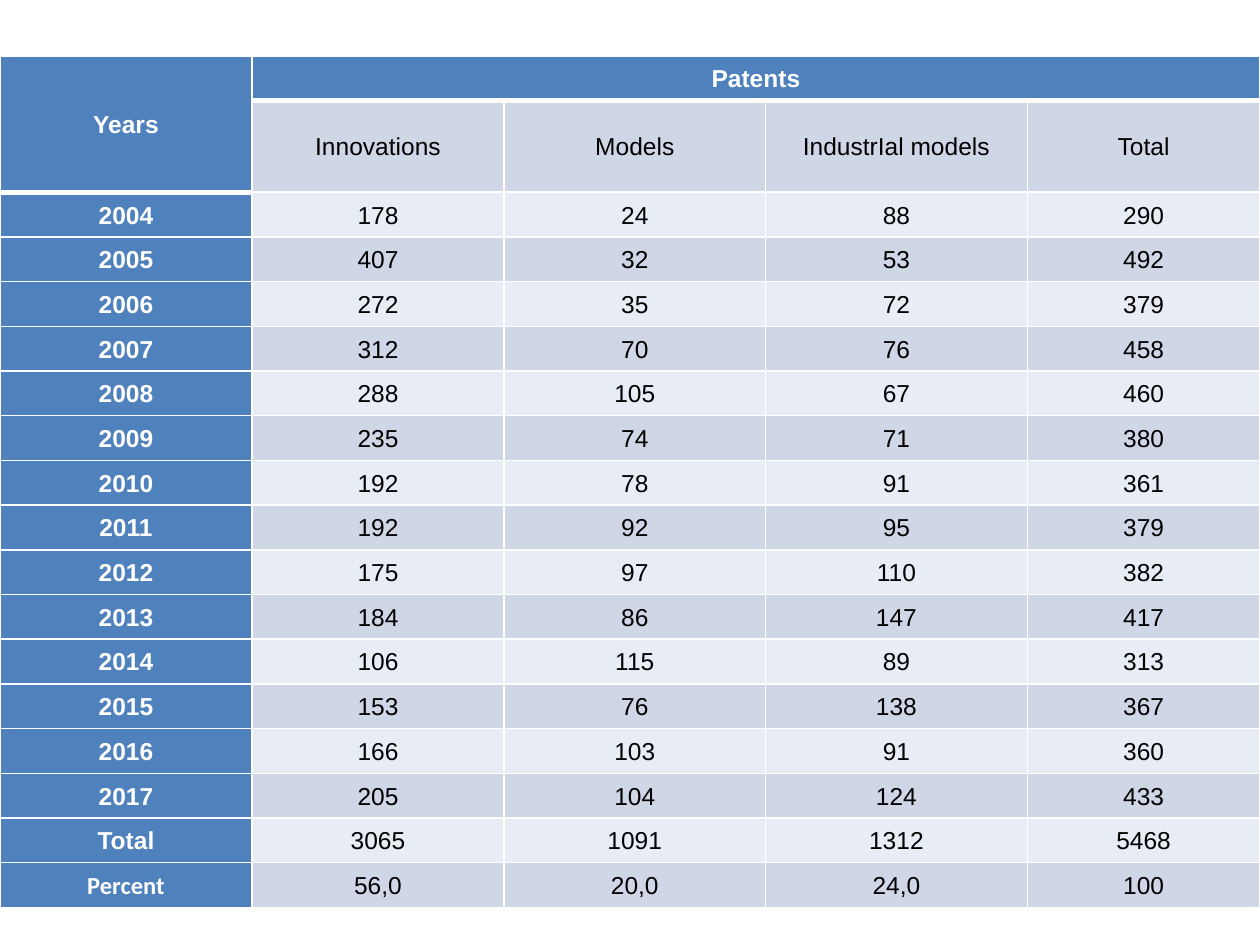
from lxml.etree import SubElement
from pptx import Presentation
from pptx.dml.color import RGBColor
from pptx.enum.text import MSO_ANCHOR, PP_ALIGN
from pptx.oxml.ns import qn
from pptx.util import Pt

COLORS = {"head": "4F81BD", "dark": "CFD7E7", "light": "E8ECF4",
          "line": "FFFFFF", "white": "FFFFFF", "black": "000000"}
WIDTHS = [144, 144, 149.5, 149.5, 133]
ROW_H, SUB_H = 25.55, 52.3
ROWS = [
    ["Years", "Patents", "", "", ""],
    ["", "Innovations", "Models", "IndustrIal models", "Total"],
    ["2004", "178", "24", "88", "290"],
    ["2005", "407", "32", "53", "492"],
    ["2006", "272", "35", "72", "379"],
    ["2007", "312", "70", "76", "458"],
    ["2008", "288", "105", "67", "460"],
    ["2009", "235", "74", "71", "380"],
    ["2010", "192", "78", "91", "361"],
    ["2011", "192", "92", "95", "379"],
    ["2012", "175", "97", "110", "382"],
    ["2013", "184", "86", "147", "417"],
    ["2014", "106", "115", "89", "313"],
    ["2015", "153", "76", "138", "367"],
    ["2016", "166", "103", "91", "360"],
    ["2017", "205", "104", "124", "433"],
    ["Total", "3065", "1091", "1312", "5468"],
    ["Percent", "56,0", "20,0", "24,0", "100"],
]


def rgb(name):
    return RGBColor.from_string(COLORS[name])


def set_lines(cell, top, bottom):
    """Draw the four borders; call before the fill, which must follow them."""
    props = cell._tc.get_or_add_tcPr()
    for side, width in (("L", 1), ("R", 1), ("T", top), ("B", bottom)):
        line = SubElement(props, qn(f"a:ln{side}"), w=str(Pt(width)))
        fill = SubElement(line, qn("a:solidFill"))
        SubElement(fill, qn("a:srgbClr"), val=COLORS["line"])


def set_text(cell, text, head, font):
    cell.vertical_anchor = MSO_ANCHOR.MIDDLE
    cell.margin_left = cell.margin_right = Pt(5)
    cell.margin_top = cell.margin_bottom = 0
    para = cell.text_frame.paragraphs[0]
    para.text = text
    para.alignment = PP_ALIGN.CENTER
    para.line_spacing = 1.07
    for run in para.runs:
        run.font.name = font
        run.font.size = Pt(14)
        run.font.bold = head
        run.font.color.rgb = rgb("white" if head else "black")


def add_patents(slide, left, top, width):
    height = SUB_H + ROW_H * (len(ROWS) - 1)
    table = slide.shapes.add_table(len(ROWS), len(WIDTHS), Pt(left), Pt(top),
                                   Pt(width), Pt(height)).table
    scale = width / sum(WIDTHS)
    for col, size in zip(table.columns, WIDTHS):
        col.width = Pt(size * scale)
    for r, texts in enumerate(ROWS):
        table.rows[r].height = Pt(SUB_H if r == 1 else ROW_H)
        for c, text in enumerate(texts):
            cell = table.cell(r, c)
            head = r == 0 or c == 0
            # The thick rule runs below "Patents" and below "Years".
            edge = 1 if c == 0 else 0
            set_lines(cell, 3 if r == edge + 1 else 1,
                      3 if r in (0, edge) else 1)
            cell.fill.solid()
            band = "dark" if r % 2 else "light"
            cell.fill.fore_color.rgb = rgb("head" if head else band)
            set_text(cell, text, head,
                     "Calibri" if text == "Percent" else "Arial")
    table.cell(0, 0).merge(table.cell(1, 0))
    table.cell(0, 1).merge(table.cell(0, 4))


def main():
    deck = Presentation()
    deck.slide_width, deck.slide_height = Pt(720), Pt(540)
    slide = deck.slides.add_slide(deck.slide_layouts[6])
    add_patents(slide, 0, 32, 720)
    deck.save("out.pptx")


if __name__ == "__main__":
    main()
